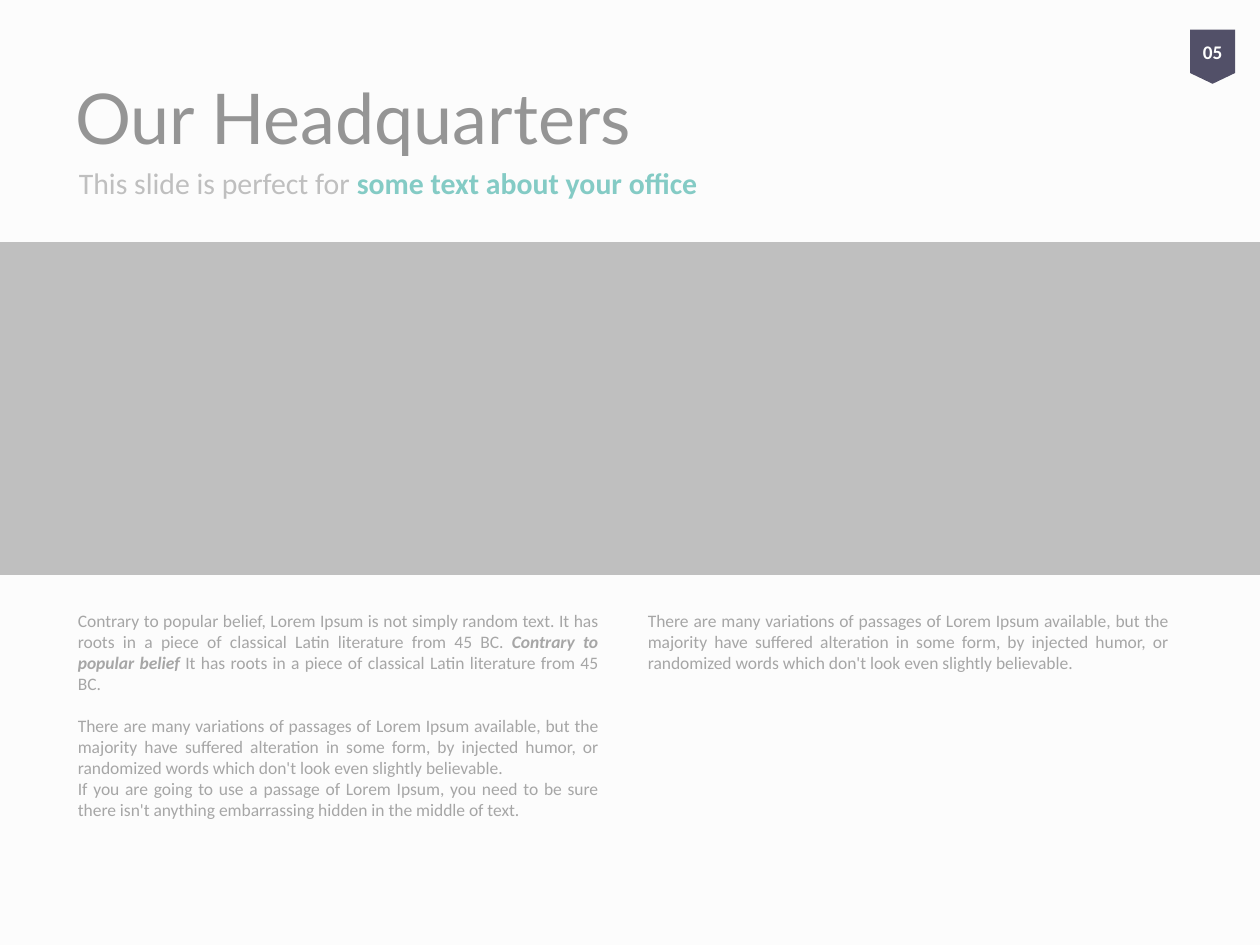
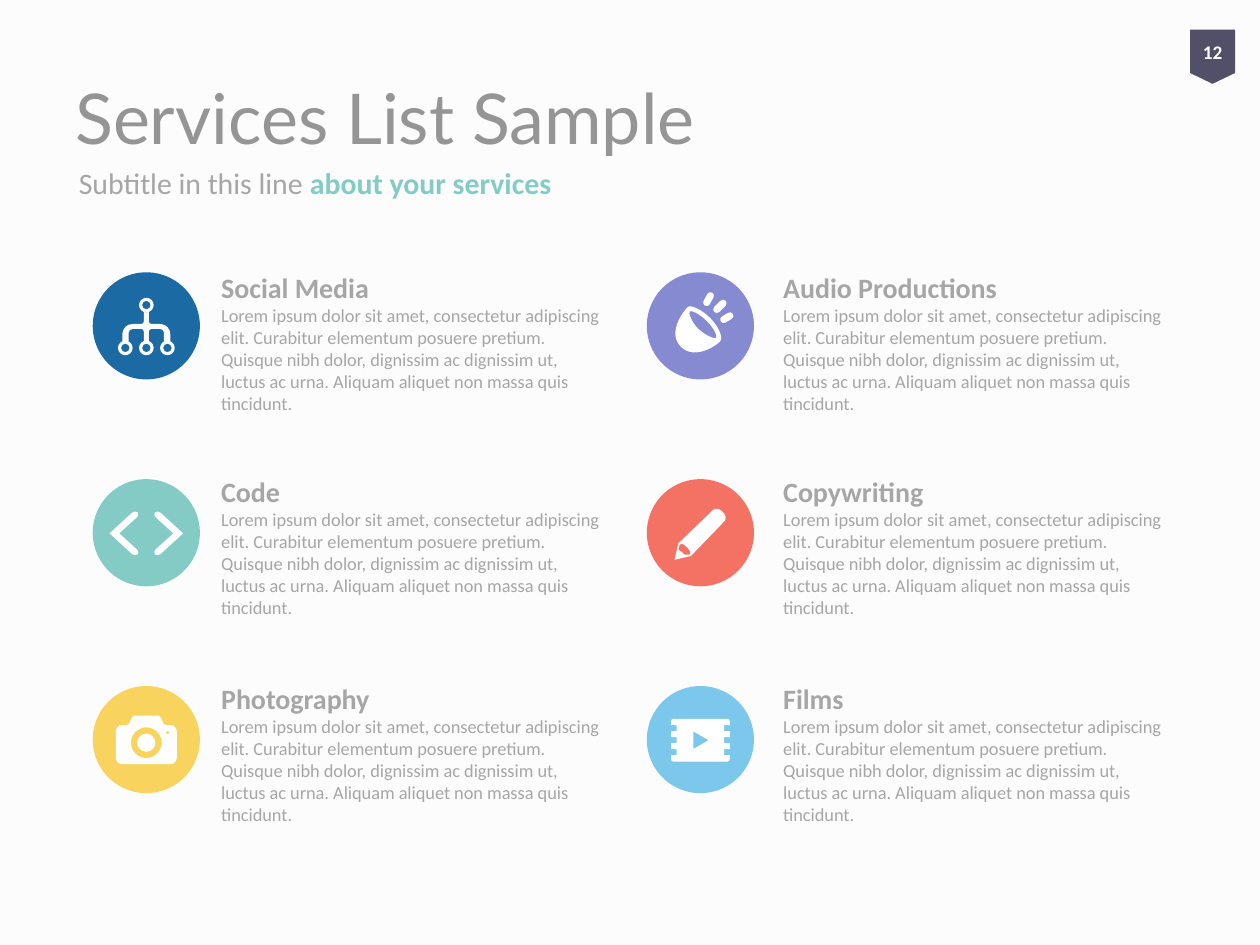
import math

from lxml import etree
from pptx import Presentation
from pptx.dml.color import RGBColor
from pptx.enum.shapes import MSO_SHAPE
from pptx.enum.text import MSO_ANCHOR, PP_ALIGN
from pptx.oxml.ns import qn
from pptx.util import Cm, Pt

RECTANGLE = MSO_SHAPE.RECTANGLE
OVAL = MSO_SHAPE.OVAL
PAGE_TAG = MSO_SHAPE.FLOWCHART_OFFPAGE_CONNECTOR
TOP, MIDDLE = MSO_ANCHOR.TOP, MSO_ANCHOR.MIDDLE
CENTER, JUSTIFY = PP_ALIGN.CENTER, PP_ALIGN.JUSTIFY

# Shared colours and fonts
PAPER = RGBColor(0xFC, 0xFC, 0xFC)
WHITE = RGBColor(0xFF, 0xFF, 0xFF)
TITLE_GREY = RGBColor(0x95, 0x95, 0x95)
TEXT_GREY = RGBColor(0xA6, 0xA6, 0xA6)
PALE_GREY = RGBColor(0xBF, 0xBF, 0xBF)
TEAL = RGBColor(0x84, 0xCB, 0xC5)
SLATE = RGBColor(0x52, 0x50, 0x68)
BLUE = RGBColor(0x1B, 0x6A, 0xA3)
YELLOW = RGBColor(0xF8, 0xD3, 0x5E)
CORAL = RGBColor(0xF4, 0x72, 0x64)
SKY = RGBColor(0x7C, 0xC8, 0xEC)
VIOLET = RGBColor(0x86, 0x8A, 0xD1)
TITLE_FONT, BODY_FONT = "Lato", "Calibri"

# Headquarters content: paragraphs of (text, bold italic), with space before
VARIATIONS = (
    "There are many variations of passages of Lorem Ipsum available, but the majority "
    "have suffered alteration in some form, by injected humor, or randomized words "
    "which don't look even slightly believable."
)
OFFICE_PARAGRAPHS = [
    (0, [
        ("Contrary to popular belief, Lorem Ipsum is not simply random text. It has roots "
         "in a piece of classical Latin literature from 45 BC. ", False),
        ("Contrary to popular belief ", True),
        ("It has roots in a piece of classical Latin literature from 45 BC.", False),
    ]),
    (12, [(VARIATIONS, False)]),
    (0, [("If you are going to use a passage of Lorem Ipsum, you need to be sure there "
          "isn't anything embarrassing hidden in the middle of text.", False)]),
    (12, [(VARIATIONS, False)]),
]

# Services content: name, disc colour, icon; column by column
SERVICES = [
    [("Social Media", BLUE, "network"),
     ("Code", TEAL, "brackets"),
     ("Photography", YELLOW, "camera")],
    [("Audio Productions", VIOLET, "horn"),
     ("Copywriting", CORAL, "pencil"),
     ("Films", SKY, "film")],
]
SERVICE_TEXT = (
    "Lorem ipsum dolor sit amet, consectetur adipiscing elit. Curabitur elementum "
    "posuere pretium. Quisque nibh dolor, dignissim ac dignissim ut, luctus ac urna. "
    "Aliquam aliquet non massa quis tincidunt."
)

# Services grid
DISC_LEFTS = (Cm(1.87), Cm(13.04))
DISC_TOP, DISC_PITCH, DISC_SIZE = Cm(5.49), Cm(4.17), Cm(2.16)
TEXT_LEFTS = (Cm(4.21), Cm(15.54))
TEXT_TOPS = (Cm(5.33), Cm(9.45), Cm(13.61))
ICON_UNIT = Cm(2.54) / 100
ROUNDNESS = 0.55


# Icon outlines, in icon units around the centre of the disc. An outline is a closed
# list of segments: one point for a line, three for a cubic curve.
def toward(start, end, share):
    return tuple(a + (b - a) * share for a, b in zip(start[:2], end[:2]))


def rounded(vertices):
    """Polygon whose vertices (x, y, radius) may leave out the radius."""
    outline = []
    for i, vertex in enumerate(vertices):
        corner = vertex[:2]
        if len(vertex) == 2:
            outline.append((corner,))
            continue
        before, after = (
            toward(corner, other, vertex[2] / math.dist(corner, other[:2]))
            for other in (vertices[i - 1], vertices[(i + 1) % len(vertices)])
        )
        outline += [(before,), (toward(before, corner, ROUNDNESS),
                                toward(after, corner, ROUNDNESS), after)]
    return outline


def circle(x, y, radius):
    extremes = [(x + radius, y), (x, y + radius), (x - radius, y), (x, y - radius)]
    corners = [(x + radius, y + radius), (x - radius, y + radius),
               (x - radius, y - radius), (x + radius, y - radius)]
    ends = extremes[1:] + extremes[:1]
    return [(toward(start, corner, ROUNDNESS), toward(end, corner, ROUNDNESS), end)
            for start, corner, end in zip(extremes, corners, ends)]


def curved(points):
    return [tuple(points[i:i + 3]) for i in range(0, len(points), 3)]


def ray(x1, y1, x2, y2, radius=2.8):
    length = math.dist((x1, y1), (x2, y2))
    dx, dy = (x2 - x1) / length * radius, (y2 - y1) / length * radius
    return rounded([(x1 - dx - dy, y1 - dy + dx, radius), (x1 - dx + dy, y1 - dy - dx, radius),
                    (x2 + dx + dy, y2 + dy - dx, radius), (x2 + dx - dy, y2 + dy + dx, radius)])


def mirrored(vertices):
    return [(-x, *rest) for x, *rest in reversed(vertices)]


NETWORK_HALF = [(2, -11), (2, -1.5, 2), (19, -1.5, 8), (19, 12), (14, 12),
                (14, 2.5, 3), (2, 2.5, 2), (2, 12)]
NETWORK_NODES = [(0, -16.5), (-16.7, 17.5), (0, 17.5), (16.7, 17.5)]
BRACKET = [(-29.2, 0.5), (-9, -18, 3), (-5, -14.5, 3), (-21.5, 0.5),
           (-5, 15.5, 3), (-9, 19, 3)]
CAMERA_HALF = [(11, -19, 2), (14, -11.5, 2), (24.2, -11.5, 5), (24.2, 19.5, 5)]
FILM_HALF = [(23.3, -16.5, 2)] + [
    (x, top + drop)
    for top in (-11.5, -2, 7.5)
    for x, drop in ((23.3, 0), (18.8, 0), (18.8, 4.8), (23.3, 4.8))
] + [(23.3, 17.5, 2)]

ICONS = {
    "network": [rounded(NETWORK_HALF + mirrored(NETWORK_HALF))]
    + [circle(x, y, radius) for x, y in NETWORK_NODES for radius in (5.8, 3.4)],
    "brackets": [rounded(BRACKET), rounded(mirrored(BRACKET))],
    "camera": [rounded(CAMERA_HALF + mirrored(CAMERA_HALF)), circle(0, 2.5, 12.2),
               circle(0, 2.5, 7.2), circle(17, -5.5, 1.5)],
    "horn": [
        curved([(-13.5, -11.5), (-26.5, 5.5), (-15.5, 16.5),
                (-4.5, 27.5), (12.5, 15.5), (15.5, 12.5), (18.5, 9.5),
                (14.5, 0.5), (7.5, -6.5), (0.5, -13.5), (-8.5, -17.5), (-10.5, -14.5)]),
        curved([(11.5, 10.5), (5.5, 8.5), (-1.5, 2.5), (-7.5, -3.5),
                (-9.5, -10.5), (-8.5, -11.5), (-7.5, -12.5), (-1.5, -10.5),
                (5.5, -3.5), (11.5, 2.5), (13.5, 8.5), (12.5, 9.5)]),
        ray(5, -18.5, 8, -24), ray(13, -13, 18, -18), ray(18.5, -5, 23.5, -8),
    ],
    "pencil": [
        rounded([(10.5, -18.5, 1), (14, -20, 3), (21, -13, 3), (19.5, -9.5, 1),
                 (-7.5, 18.5), (-20.5, 21.5), (-17.5, 8.5)]),
        rounded([(-8.5, 17.5), (-12.5, 17.5), (-14.5, 15.5, 1), (-17.5, 13.5),
                 (-16.5, 9.5), (-14.5, 8.5, 1), (-10.5, 11.5, 2), (-7.5, 15.5, 1)]),
    ],
    "film": [rounded(FILM_HALF + mirrored(FILM_HALF)),
             rounded([(-5.5, -6.5), (6.5, 0.5), (-5.5, 7.5)])],
}


# Building blocks
def paint(shape, color):
    shape.shadow.inherit = False
    shape.fill.solid()
    shape.fill.fore_color.rgb = color
    shape.line.fill.background()


def add_filled_shape(shapes, kind, left, top, width, height, color):
    shape = shapes.add_shape(kind, left, top, width, height)
    paint(shape, color)
    return shape


def add_text_box(slide, left, top, width, height, anchor=TOP):
    frame = slide.shapes.add_textbox(left, top, width, height).text_frame
    frame.word_wrap = True
    frame.vertical_anchor = anchor
    return frame


def add_run(paragraph, text, size, color, bold=False, italic=False, font=BODY_FONT):
    run = paragraph.add_run()
    run.text = text
    run.font.name, run.font.size = font, Pt(size)
    run.font.bold, run.font.italic = bold, italic
    run.font.color.rgb = color


def add_icon(shapes, outlines, center_x, center_y):
    placed = [[[(center_x + x * ICON_UNIT, center_y + y * ICON_UNIT) for x, y in segment]
               for segment in outline] for outline in outlines]
    builder = shapes.build_freeform(*placed[0][-1][-1])
    for index, outline in enumerate(placed):
        if index:
            builder.move_to(*outline[-1][-1])
        builder.add_line_segments([segment[-1] for segment in outline], close=True)
    icon = builder.convert_to_shape()
    paint(icon, WHITE)

    # Bend the lines that stand for curves
    lines = list(icon._element.iter(qn("a:lnTo")))
    segments = [segment for outline in placed for segment in outline]
    for line, segment in zip(lines, segments):
        if len(segment) == 3:
            line.clear()
            line.tag = qn("a:cubicBezTo")
            for x, y in segment:
                etree.SubElement(line, qn("a:pt"), x=str(round(x - icon.left)),
                                 y=str(round(y - icon.top)))


def add_slide(presentation):
    slide = presentation.slides.add_slide(presentation.slide_layouts[6])
    slide.background.fill.solid()
    slide.background.fill.fore_color.rgb = PAPER
    return slide


def add_header(slide, title, subtitle, emphasis, subtitle_color):
    frame = add_text_box(slide, Cm(1.34), Cm(3), Cm(22.86), Cm(1.35), MIDDLE)
    add_run(frame.paragraphs[0], subtitle, 17, subtitle_color)
    add_run(frame.paragraphs[0], emphasis, 17, TEAL, bold=True)
    frame = add_text_box(slide, Cm(1.27), Cm(1.27), Cm(22.86), Cm(2.16), MIDDLE)
    add_run(frame.paragraphs[0], title, 40, TITLE_GREY, font=TITLE_FONT)


def add_page_tag(slide, number):
    tag = add_filled_shape(slide.shapes, PAGE_TAG, Cm(23.99), Cm(0.6), Cm(0.91), Cm(1.09),
                           SLATE)
    frame = tag.text_frame
    frame.margin_left = frame.margin_right = 0
    frame.vertical_anchor = MIDDLE
    frame.paragraphs[0].alignment = CENTER
    add_run(frame.paragraphs[0], number, 11, WHITE, bold=True)


def build_headquarters(presentation):
    slide = add_slide(presentation)
    # Photo band
    add_filled_shape(slide.shapes, RECTANGLE, 0, Cm(4.88), presentation.slide_width,
                     Cm(6.71), PALE_GREY)
    add_header(slide, "Our Headquarters", "This slide is perfect for ",
               "some text about your office", PALE_GREY)

    # Two-column text; the height makes the last paragraph start the second column
    frame = add_text_box(slide, Cm(1.32), Cm(12.17), Cm(22.63), Cm(4.75))
    frame.margin_right, frame.margin_bottom = Cm(0.4), Cm(0.1)
    body = frame._txBody.bodyPr
    body.set("numCol", "2")
    body.set("spcCol", str(Cm(1)))
    for index, (space_before, runs) in enumerate(OFFICE_PARAGRAPHS):
        paragraph = frame.add_paragraph() if index else frame.paragraphs[0]
        paragraph.alignment = JUSTIFY
        paragraph.space_before = Pt(space_before)
        for text, strong in runs:
            add_run(paragraph, text, 10, TEXT_GREY, strong, strong)
    add_page_tag(slide, "05")


def build_services(presentation):
    slide = add_slide(presentation)
    add_header(slide, "Services List Sample", "Subtitle in this line ",
               "about your services", TEXT_GREY)
    for column, services in enumerate(SERVICES):
        for row, (name, color, icon) in enumerate(services):
            # Disc with icon
            left, top = DISC_LEFTS[column], DISC_TOP + row * DISC_PITCH
            badge = slide.shapes.add_group_shape().shapes
            add_filled_shape(badge, OVAL, left, top, DISC_SIZE, DISC_SIZE, color)
            add_icon(badge, ICONS[icon], left + DISC_SIZE / 2, top + DISC_SIZE / 2)

            # Name and description, with a break as tall as the name
            frame = add_text_box(slide, TEXT_LEFTS[column], TEXT_TOPS[row], Cm(8.2), Cm(3.3))
            paragraph = frame.paragraphs[0]
            add_run(paragraph, name, 16, TEXT_GREY, bold=True)
            paragraph.add_line_break()
            etree.SubElement(paragraph._p[-1], qn("a:rPr"), sz="1600")
            add_run(paragraph, SERVICE_TEXT, 10.5, TEXT_GREY)
    add_page_tag(slide, "12")


def main():
    presentation = Presentation()
    presentation.slide_width, presentation.slide_height = Cm(25.4), Cm(19.05)
    build_headquarters(presentation)
    build_services(presentation)
    presentation.save("out.pptx")


if __name__ == "__main__":
    main()
